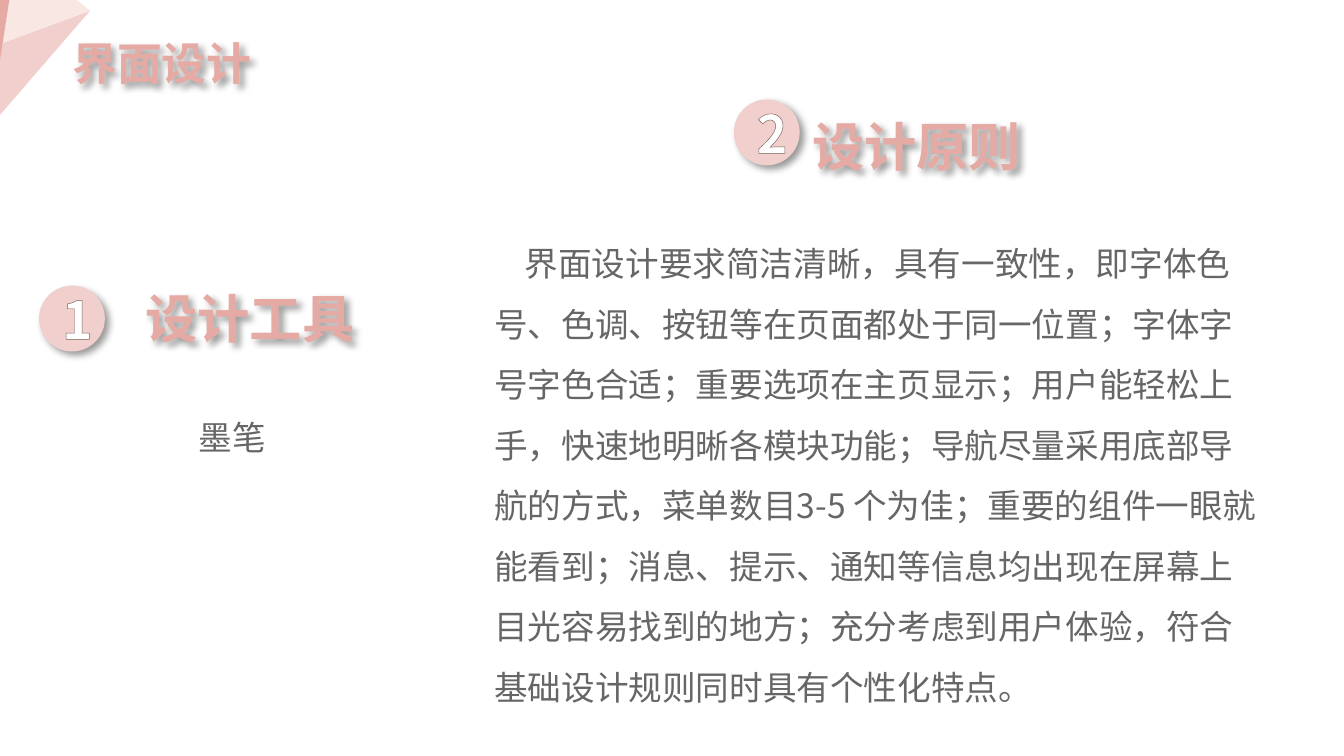
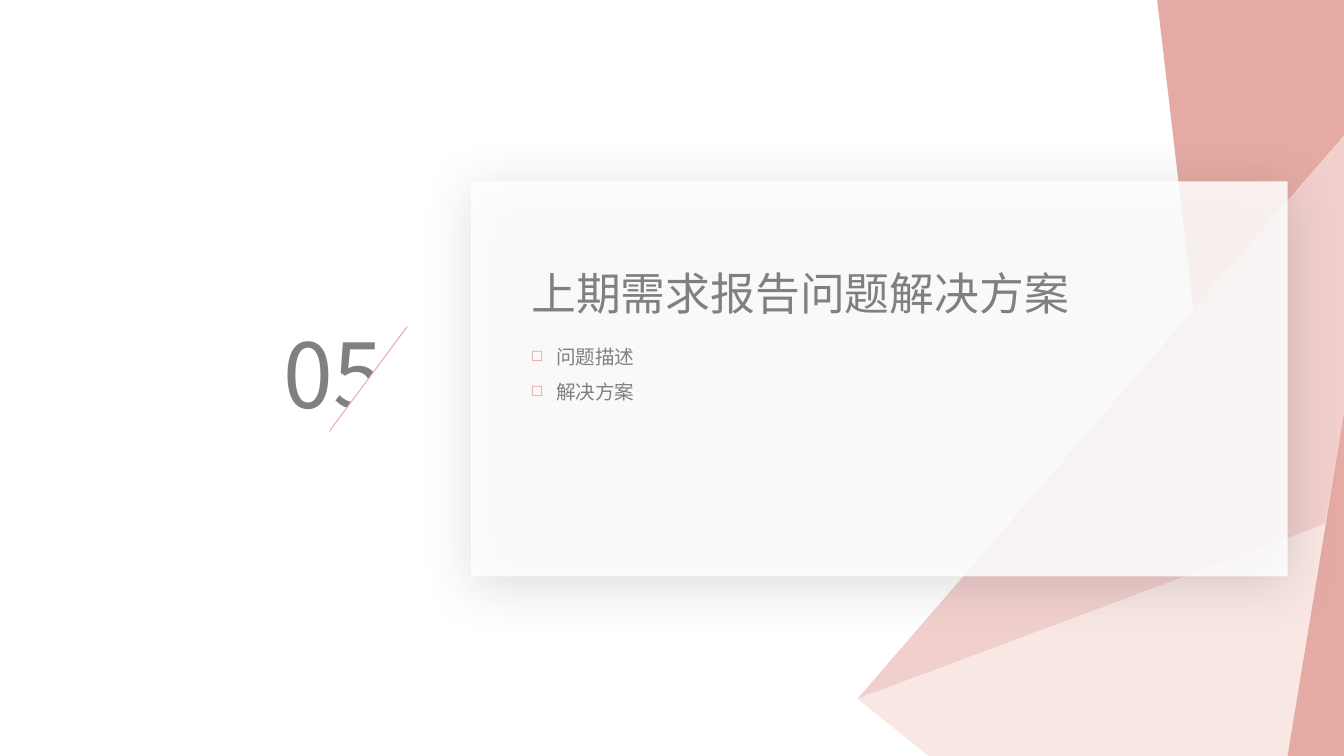
from dataclasses import dataclass

from lxml.etree import Element, SubElement
from pptx import Presentation
from pptx.dml.color import RGBColor
from pptx.enum.dml import MSO_PATTERN
from pptx.enum.shapes import MSO_CONNECTOR, MSO_SHAPE
from pptx.enum.text import MSO_ANCHOR, MSO_AUTO_SIZE, PP_ALIGN
from pptx.oxml.ns import qn
from pptx.util import Pt

# Shared scale, colours and font
PX = 4572  # 200 px to the inch
WIDTH, HEIGHT = 2000, 1125
FONT = "Noto Sans CJK SC"
ROSE = RGBColor(0xE5, 0xAA, 0xA4)
PINK = RGBColor(0xF1, 0xCF, 0xCD)
BLUSH = RGBColor(0xF9, 0xE7, 0xE3)
GREY = RGBColor(0x80, 0x80, 0x80)
DARK_GREY = RGBColor(0x66, 0x66, 0x66)
TAUPE = RGBColor(0x75, 0x63, 0x59)
CHARCOAL = RGBColor(0x33, 0x33, 0x33)
BLACK = RGBColor(0, 0, 0)
WHITE = RGBColor(0xFF, 0xFF, 0xFF)


@dataclass(frozen=True)
class Shadow:
    color: RGBColor
    alpha: int
    blur: int
    distance: int
    angle: int


@dataclass(frozen=True)
class Style:
    size: float
    color: RGBColor
    bold: bool = False
    hatch: RGBColor | None = None
    outline: RGBColor | None = None
    shadow: Shadow | None = None


@dataclass(frozen=True)
class Label:
    box: tuple[int, int, int, int]
    lines: tuple[str, ...]
    style: Style
    wrap: bool = True
    spacing: float | None = None
    indent: int = 0
    bullet: str = ""


@dataclass(frozen=True)
class Facet:
    color: RGBColor
    points: tuple[tuple[int, int], ...]


@dataclass(frozen=True)
class Heading:
    number: str
    badge: tuple[int, int]
    title: str
    title_at: tuple[int, int]


SOFT = Shadow(BLACK, 40, 4, 3, 45)
CARD_SHADOW = Shadow(CHARCOAL, 20, 29, 5, 77)
PAGE_TITLE = Style(24, ROSE, bold=True, shadow=SOFT)
HEADING = Style(28, ROSE, bold=True, shadow=SOFT)
NUMBER = Style(28, WHITE, bold=True, outline=TAUPE)
BODY = Style(18, GREY, hatch=DARK_GREY)

CORNER = (
    Facet(PINK, ((134, 16), (4, 64), (0, 86), (0, 171))),
    Facet(BLUSH, ((134, 16), (114, 0), (14, 0), (4, 64))),
    Facet(ROSE, ((14, 0), (0, 0), (0, 90))),
)
SIDE = (
    Facet(ROSE, ((1776, 460), (1722, 0), (WIDTH, 0), (WIDTH, 202))),
    Facet(PINK, ((1276, 1040), (1972, 780), (WIDTH, 614), (WIDTH, 202))),
    Facet(BLUSH, ((1276, 1040), (1382, HEIGHT), (1916, HEIGHT), (1972, 780))),
    Facet(ROSE, ((1916, HEIGHT), (WIDTH, HEIGHT), (WIDTH, 614))),
)
HEADINGS = (
    Heading("1", (58, 425), "设计工具", (197, 416)),
    Heading("2", (1092, 148), "设计原则", (1189, 160)),
)
PRINCIPLES = (
    "界面设计要求简洁清晰，具有一致性，即字体色号、色调、按钮等在页面都处于同一位置；"
    "字体字号字色合适；重要选项在主页显示；用户能轻松上手，快速地明晰各模块功能；"
    "导航尽量采用底部导航的方式，菜单数目3-5 个为佳；重要的组件一眼就能看到；"
    "消息、提示、通知等信息均出现在屏幕上目光容易找到的地方；"
    "充分考虑到用户体验，符合基础设计规则同时具有个性化特点。"
)


def add_color(parent, color: RGBColor, alpha: int = 100) -> None:
    node = SubElement(parent, qn("a:srgbClr"), val=str(color))
    if alpha < 100:
        SubElement(node, qn("a:alpha"), val=str(alpha * 1000))


def set_shadow(shape, shadow: Shadow | None) -> None:
    shape.shadow.inherit = False
    if shadow is None:
        return
    effects = shape._element.spPr.find(qn("a:effectLst"))
    node = SubElement(
        effects, qn("a:outerShdw"), blurRad=str(Pt(shadow.blur)),
        dist=str(Pt(shadow.distance)), dir=str(shadow.angle * 60000),
        algn="tl", rotWithShape="0")
    add_color(node, shadow.color, shadow.alpha)


def add_span(para, text: str, style: Style) -> None:
    span = para.add_run()
    span.text = text
    font = span.font
    font.size, font.bold, font.name = Pt(style.size), style.bold, FONT
    if style.hatch is not None:
        font.fill.patterned()
        font.fill.pattern = MSO_PATTERN.DARK_UPWARD_DIAGONAL
        font.fill.fore_color.rgb = style.color
        font.fill.back_color.rgb = style.hatch
    else:
        font.color.rgb = style.color
    props = span._r.get_or_add_rPr()
    props.find(qn("a:latin")).addnext(Element(qn("a:ea"), typeface=FONT))
    if style.outline is not None:
        line = Element(qn("a:ln"), w=str(Pt(0.8)))
        add_color(SubElement(line, qn("a:solidFill")), style.outline)
        props.insert(0, line)


def add_label(page, label: Label) -> None:
    box = page.shapes.add_textbox(*(n * PX for n in label.box))
    if label.style.shadow is not None:
        set_shadow(box, label.style.shadow)
    frame = box.text_frame
    frame.word_wrap = label.wrap
    frame.auto_size = MSO_AUTO_SIZE.SHAPE_TO_FIT_TEXT
    for index, text in enumerate(label.lines):
        para = frame.add_paragraph() if index else frame.paragraphs[0]
        if label.spacing:
            para.line_spacing = label.spacing
        props = para._p.get_or_add_pPr()
        if label.indent:
            props.set("indent", str(label.indent * PX))
        if label.bullet:
            props.set("marL", str(-label.indent * PX))
            add_color(SubElement(props, qn("a:buClr")), ROSE)
            SubElement(props, qn("a:buSzPct"), val="80000")
            SubElement(props, qn("a:buChar"), char=label.bullet)
        add_span(para, text, label.style)


def paint(shape, color: RGBColor, shadow: Shadow | None = None) -> None:
    shape.fill.solid()
    shape.fill.fore_color.rgb = color
    shape.line.fill.background()
    set_shadow(shape, shadow)


def add_block(page, kind: MSO_SHAPE, box: tuple[int, int, int, int],
              color: RGBColor, shadow: Shadow | None = None):
    shape = page.shapes.add_shape(kind, *(n * PX for n in box))
    paint(shape, color, shadow)
    return shape


def add_facets(page, facets: tuple[Facet, ...]) -> None:
    for facet in facets:
        start, *rest = facet.points
        builder = page.shapes.build_freeform(*start, scale=PX)
        builder.add_line_segments(rest, close=True)
        paint(builder.convert_to_shape(), facet.color)


def add_heading(page, heading: Heading) -> None:
    add_label(page, Label((*heading.title_at, 376, 114), (heading.title,), HEADING))
    badge = add_block(page, MSO_SHAPE.OVAL, (*heading.badge, 98, 98), PINK, SOFT)
    badge.text_frame.vertical_anchor = MSO_ANCHOR.MIDDLE
    para = badge.text_frame.paragraphs[0]
    para.alignment = PP_ALIGN.CENTER
    add_span(para, heading.number, NUMBER)


def add_slash(page) -> None:
    """White triangle that cuts the chapter number, with a line along the cut."""
    cut = add_block(page, MSO_SHAPE.RIGHT_TRIANGLE, (470, 506, 156, 116), WHITE)
    cut.rotation = 270
    line = page.shapes.add_connector(
        MSO_CONNECTOR.STRAIGHT, 606 * PX, 486 * PX, 490 * PX, 642 * PX)
    line.line.color.rgb = ROSE
    line.line.width = Pt(0.5)
    SubElement(line._element.spPr, qn("a:effectLst"))


def build_design_page(page) -> None:
    add_facets(page, CORNER)
    add_label(page, Label((88, 44, 310, 100), ("界面设计",), PAGE_TITLE, wrap=False))
    for heading in HEADINGS:
        add_heading(page, heading)
    add_label(page, Label((276, 610, 156, 80), ("墨笔",), BODY))
    add_label(page, Label((716, 322, 1182, 738), (PRINCIPLES,), BODY,
                          spacing=1.5, indent=45))


def build_chapter_page(page) -> None:
    add_facets(page, SIDE)
    # Translucent card
    card = add_block(page, MSO_SHAPE.RECTANGLE, (701, 270, 1215, 588), WHITE, CARD_SHADOW)
    tint = card._element.spPr.find(qn("a:solidFill"))[0]
    SubElement(tint, qn("a:alpha"), val="85000")
    # Chapter number, title and topics
    add_label(page, Label((402, 465, 196, 182), ("05",), Style(48, GREY)))
    add_label(page, Label((771, 385, 840, 100), ("上期需求报告问题解决方案",),
                          Style(24, GREY), wrap=False))
    add_slash(page)
    add_label(page, Label((770, 486, 500, 126), ("问题描述", "解决方案"),
                          Style(10.5, GREY), spacing=1.5, indent=-38, bullet="◻"))


def main() -> None:
    deck = Presentation()
    deck.slide_width, deck.slide_height = WIDTH * PX, HEIGHT * PX
    blank = deck.slide_layouts[6]
    for build in (build_design_page, build_chapter_page):
        build(deck.slides.add_slide(blank))
    deck.save("out.pptx")


if __name__ == "__main__":
    main()
